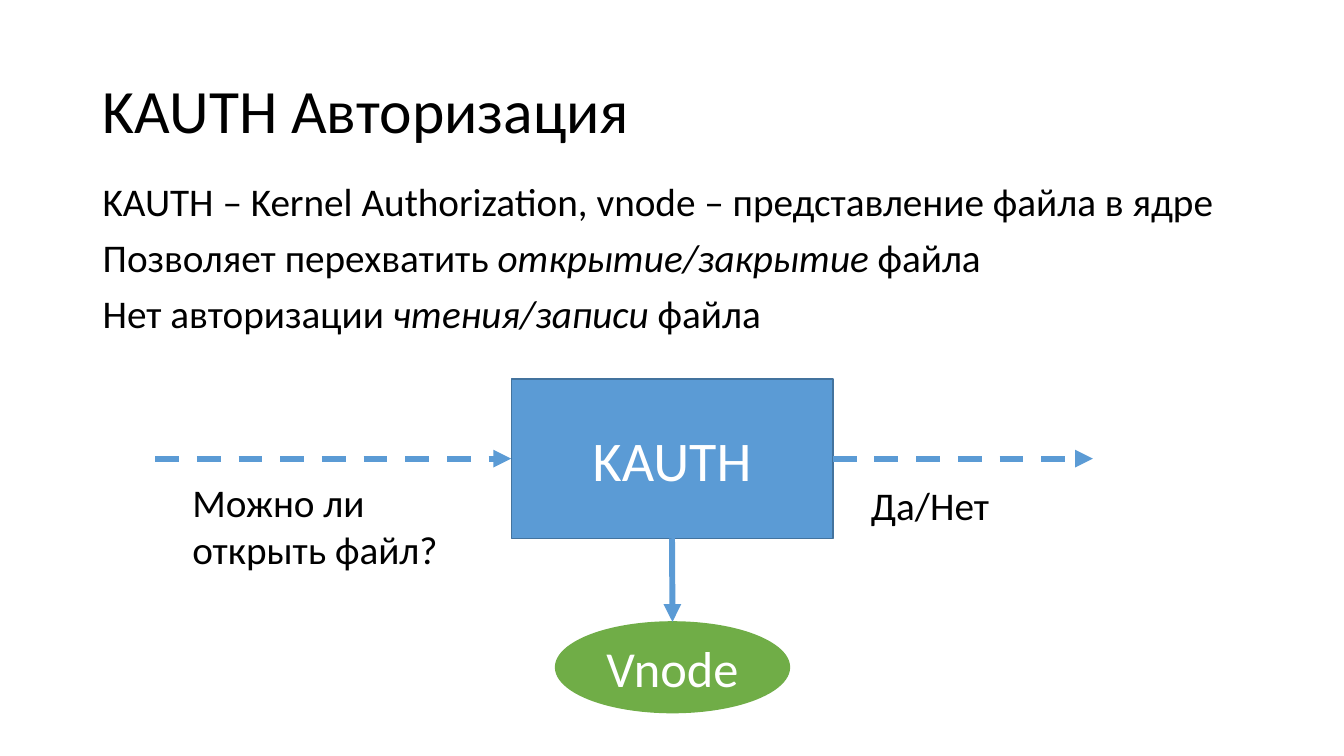
from dataclasses import dataclass

from lxml.etree import SubElement
from pptx import Presentation
from pptx.dml.color import RGBColor
from pptx.enum.dml import MSO_LINE
from pptx.enum.shapes import MSO_CONNECTOR, MSO_SHAPE
from pptx.enum.text import MSO_ANCHOR, PP_ALIGN
from pptx.oxml.ns import qn
from pptx.util import Inches, Pt


@dataclass(frozen=True)
class Theme:
    """Colours, type sizes and line widths of the deck."""
    font: str = "Calibri"
    ink: str = "000000"
    light: str = "FFFFFF"
    blue: str = "5B9BD5"
    blue_edge: str = "43739E"
    green: str = "70AD47"
    title_size: int = 44
    block_size: int = 40
    node_size: int = 36
    body_size: int = 28
    outline: float = 1
    arrow: float = 4.25


class SlideBuilder:
    """Draws styled elements on the current slide."""

    def __init__(self, deck, theme):
        """Keep the theme and open a title-only page."""
        self.theme = theme
        self.page = deck.slides.add_slide(deck.slide_layouts[5])

    def fill_text(self, frame, paragraphs, size, color, anchor=MSO_ANCHOR.TOP, **paragraph_format):
        """Fill a frame with paragraphs made of (text, italic) spans."""
        frame.word_wrap = True
        frame.vertical_anchor = anchor
        for index, spans in enumerate(paragraphs):
            para = frame.add_paragraph() if index else frame.paragraphs[0]
            for name, value in paragraph_format.items():
                setattr(para, name, value)
            for text, italic in spans:
                span = para.add_run()
                span.text = text
                formats = {"name": self.theme.font, "size": Pt(size), "italic": italic, "bold": False}
                for name, value in formats.items():
                    setattr(span.font, name, value)
                span.font.color.rgb = RGBColor.from_string(color)

    def title(self, text, left, top, width, height):
        """Place and format the title placeholder."""
        box = self.page.shapes.title
        places = {"left": left, "top": top, "width": width, "height": height}
        for name, value in places.items():
            setattr(box, name, Inches(value))
        self.fill_text(box.text_frame, [[(text, False)]], self.theme.title_size, self.theme.ink,
                       MSO_ANCHOR.MIDDLE, alignment=PP_ALIGN.LEFT, line_spacing=0.9)

    def text(self, paragraphs, left, top, width, height, **paragraph_format):
        """Add a wrapped text box in body size."""
        box = self.page.shapes.add_textbox(*map(Inches, (left, top, width, height)))
        self.fill_text(box.text_frame, paragraphs, self.theme.body_size, self.theme.ink, **paragraph_format)

    def block(self, kind, text, left, top, width, height, fill, edge, size):
        """Add a filled shape with a centred label."""
        shape = self.page.shapes.add_shape(kind, *map(Inches, (left, top, width, height)))
        shape.shadow.inherit = False
        shape.fill.solid()
        shape.fill.fore_color.rgb = RGBColor.from_string(fill)
        shape.line.color.rgb = RGBColor.from_string(edge)
        shape.line.width = Pt(self.theme.outline)
        self.fill_text(shape.text_frame, [[(text, False)]], size, self.theme.light,
                       MSO_ANCHOR.MIDDLE, alignment=PP_ALIGN.CENTER)
        return shape

    def arrow(self, start, end, source=None, target=None, dash=None):
        """Add an arrow, joined to (shape, site) pairs where given."""
        connector = self.page.shapes.add_connector(MSO_CONNECTOR.STRAIGHT, *map(Inches, start + end))
        if source:
            connector.begin_connect(*source)
        if target:
            connector.end_connect(*target)
        connector.line.color.rgb = RGBColor.from_string(self.theme.blue)
        connector.line.width = Pt(self.theme.arrow)
        if dash:
            connector.line.dash_style = dash
        properties = connector.element.spPr
        SubElement(properties.find(qn("a:ln")), qn("a:tailEnd"), type="triangle")
        SubElement(properties, qn("a:effectLst"))


def main():
    """Build the KAUTH authorization slide."""
    deck = Presentation()
    deck.slide_width, deck.slide_height = Inches(13.33), Inches(7.5)
    theme = Theme()
    slide = SlideBuilder(deck, theme)

    slide.title("KAUTH Авторизация", 0.92, 0.4, 11.5, 1.45)
    slide.text([
        [("KAUTH – Kernel Authorization, vnode – представление файла в ядре", False)],
        [("Позволяет перехватить ", False), ("открытие/закрытие", True), (" файла", False)],
        [("Нет авторизации ", False), ("чтения/записи ", True), ("файла", False)],
    ], 0.92, 1.76, 11.5, 1.8, line_spacing=0.9, space_before=Pt(10))

    kauth = slide.block(MSO_SHAPE.RECTANGLE, "KAUTH", 5.07, 3.76, 3.19, 1.58,
                        theme.blue, theme.blue_edge, theme.block_size)
    vnode = slide.block(MSO_SHAPE.OVAL, "Vnode", 5.51, 6.17, 2.32, 0.9,
                        theme.green, theme.green, theme.node_size)

    slide.arrow((1.54, 4.55), (5.07, 4.55), target=(kauth, 1), dash=MSO_LINE.DASH)
    slide.arrow((8.26, 4.55), (10.84, 4.55), source=(kauth, 3), dash=MSO_LINE.DASH)
    slide.arrow((6.67, 5.34), (6.67, 6.17), source=(kauth, 2), target=(vnode, 0))

    slide.text([[("Можно ли открыть файл?", False)]], 1.81, 4.7, 3.26, 1.04)
    slide.text([[("Да/Нет", False)]], 8.54, 4.73, 1.45, 0.57)

    deck.save("out.pptx")


if __name__ == "__main__":
    main()
